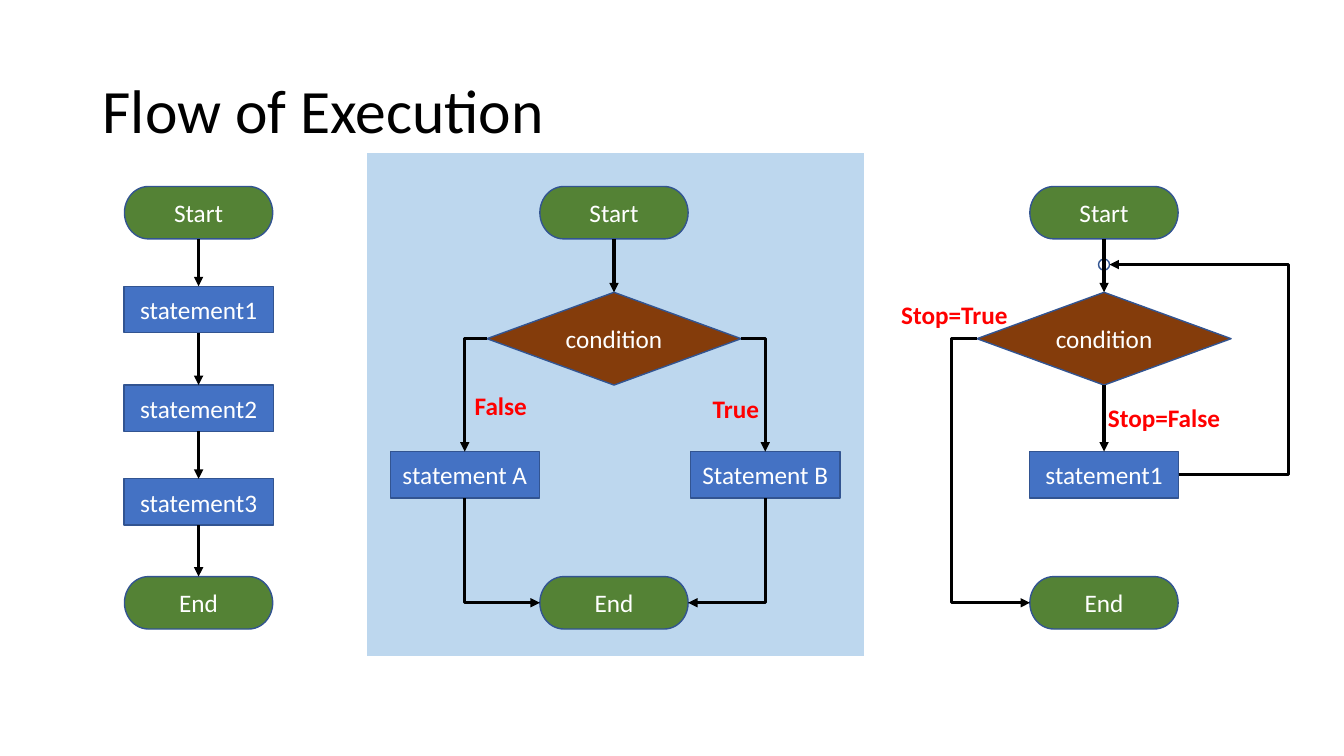
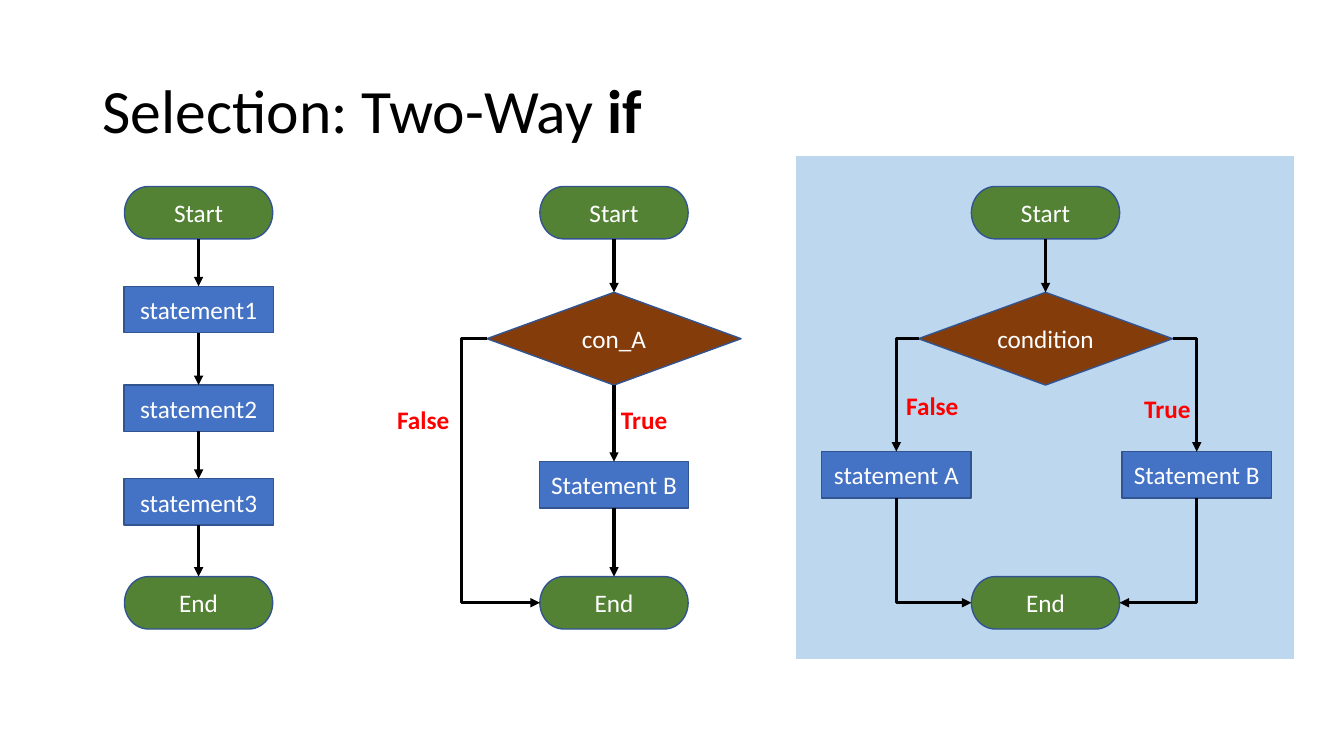
"""Build two slides of flowcharts: sequence, selection and repetition."""
from lxml.etree import SubElement
from pptx import Presentation
from pptx.dml.color import RGBColor
from pptx.enum.shapes import MSO_CONNECTOR as Link, MSO_SHAPE as Shape
from pptx.enum.text import MSO_ANCHOR as Anchor, PP_ALIGN as Align
from pptx.oxml.ns import qn
from pptx.util import Inches, Pt

FONT = "Calibri"
BLACK, WHITE, RED = "000000", "FFFFFF", "FF0000"
OUTLINE, PANEL = "325491", "BDD7EE"
TERMINATOR = (Shape.FLOWCHART_TERMINATOR, 1.47, 0.52, "548235")
PROCESS = (Shape.FLOWCHART_PROCESS, 1.48, 0.46, "4472C4")
DECISION = (Shape.FLOWCHART_DECISION, 2.52, 0.92, "843C0B")
TOP_SIDE, LEFT_SIDE, BOTTOM_SIDE, RIGHT_SIDE = range(4)
ELLIPSE_RIGHT_SITE = "6"
FLOW_TOP = 1.85
DECISION_DROP, STATEMENT_DROP, END_DROP = 1.05, 2.63, 3.87


def color(value):
    """Turn a hex string into a colour."""
    return RGBColor.from_string(value)


def style(span, size, ink, bold=False):
    """Set the font of one run."""
    span.font.name, span.font.size, span.font.bold = FONT, Pt(size), bold
    span.font.color.rgb = color(ink)


def add_title(page, plain, strong=""):
    """Write the slide title, with an optional bold ending."""
    box = page.shapes.add_textbox(Inches(0.92), Inches(0.4), Inches(11.5), Inches(1.45))
    frame = box.text_frame
    frame.word_wrap = True
    frame.vertical_anchor = Anchor.MIDDLE
    para = frame.paragraphs[0]
    para.line_spacing = 0.9
    for text, bold in ((plain, False), (strong, True)):
        if text:
            span = para.add_run()
            span.text = text
            style(span, 44, BLACK, bold)


def add_panel(page, left, top):
    """Draw the pale panel that highlights one flowchart."""
    panel = page.shapes.add_shape(Shape.FLOWCHART_PROCESS, Inches(left), Inches(top),
                                  Inches(4.93), Inches(4.99))
    panel.shadow.inherit = False
    panel.fill.solid()
    panel.fill.fore_color.rgb = color(PANEL)
    panel.line.fill.background()


def outline(shape):
    """Give a shape the common thin outline without shadow."""
    shape.shadow.inherit = False
    shape.line.color.rgb = color(OUTLINE)
    shape.line.width = Pt(1)


def add_node(page, kind, text, centre, top):
    """Draw a flowchart node centred on a vertical axis."""
    preset, width, height, fill = kind
    node = page.shapes.add_shape(preset, Inches(centre - width / 2), Inches(top),
                                 Inches(width), Inches(height))
    outline(node)
    node.fill.solid()
    node.fill.fore_color.rgb = color(fill)
    node.text_frame.text = text
    node.text_frame.vertical_anchor = Anchor.MIDDLE
    para = node.text_frame.paragraphs[0]
    para.alignment = Align.CENTER
    style(para.runs[0], 18, WHITE)
    return node


def add_label(page, text, left, top, width):
    """Write a red branch label."""
    box = page.shapes.add_textbox(Inches(left), Inches(top), Inches(width), Inches(0.4))
    box.text_frame.word_wrap = True
    box.text_frame.text = text
    style(box.text_frame.paragraphs[0].runs[0], 18, RED, True)


def add_link(page, kind, start, start_side, end, end_side, arrow="a:tailEnd"):
    """Connect two shapes with an arrow."""
    link = page.shapes.add_connector(kind, start.left, start.top, end.left, end.top)
    link.begin_connect(start, start_side)
    link.end_connect(end, end_side)
    link.line.color.rgb = color(BLACK)
    link.line.width = Pt(2.25)
    properties = link._element.spPr
    SubElement(properties.find(qn("a:ln")), qn(arrow), type="triangle")
    SubElement(properties, qn("a:effectLst"))
    return link


def link_down(page, *nodes):
    """Connect nodes from top to bottom with straight arrows."""
    for upper, lower in zip(nodes, nodes[1:]):
        add_link(page, Link.STRAIGHT, upper, BOTTOM_SIDE, lower, TOP_SIDE)


def link_corner(page, *ends, arrow="a:tailEnd"):
    """Connect two shapes with one corner, sideways first."""
    link = add_link(page, Link.ELBOW, *ends, arrow=arrow)
    link._element.spPr.find(qn("a:prstGeom")).set("prst", "bentConnector2")


def link_around(page, bend, *ends):
    """Connect two shapes by a detour through a vertical line at bend."""
    link = add_link(page, Link.ELBOW, *ends)
    share = (Inches(bend) - link.begin_x) / (link.end_x - link.begin_x)
    geometry = link._element.spPr.find(qn("a:prstGeom"))
    guides = geometry.find(qn("a:avLst"))
    if guides is None:
        guides = SubElement(geometry, qn("a:avLst"))
    SubElement(guides, qn("a:gd"), name="adj1", fmla=f"val {round(share * 100000)}")
    return link


def add_ends(page, centre, top):
    """Draw the start and end nodes of a flowchart."""
    return (add_node(page, TERMINATOR, "Start", centre, top),
            add_node(page, TERMINATOR, "End", centre, top + END_DROP))


def add_sequence(page, centre, top):
    """Draw three statements in a row."""
    start, end = add_ends(page, centre, top)
    steps = [add_node(page, PROCESS, f"statement{number}", centre, top + drop)
             for number, drop in enumerate((0.99, 1.97, 2.9), 1)]
    link_down(page, start, *steps, end)


def add_two_way(page, centre, top):
    """Draw a selection with a statement on both branches."""
    start, end = add_ends(page, centre, top)
    condition = add_node(page, DECISION, "condition", centre, top + DECISION_DROP)
    link_down(page, start, condition)
    for text, shift, side in (("statement A", -1.48, LEFT_SIDE),
                              ("Statement B", 1.5, RIGHT_SIDE)):
        branch = add_node(page, PROCESS, text, centre + shift, top + STATEMENT_DROP)
        link_corner(page, condition, side, branch, TOP_SIDE)
        link_corner(page, end, side, branch, BOTTOM_SIDE, arrow="a:headEnd")
    add_label(page, "False", centre - 1.48, top + 1.97, 0.77)
    add_label(page, "True", centre + 0.88, top + 2, 0.69)


def add_one_way(page, centre, top):
    """Draw a selection with a statement on the true branch only."""
    start, end = add_ends(page, centre, top)
    condition = add_node(page, DECISION, "con_A", centre, top + DECISION_DROP)
    statement = add_node(page, PROCESS, "Statement B", centre, top + 2.73)
    link_down(page, start, condition, statement, end)
    link_around(page, centre - 1.51, condition, LEFT_SIDE, end, LEFT_SIDE)
    add_label(page, "True", centre - 0.03, top + 2.11, 0.69)
    add_label(page, "False", centre - 2.25, top + 2.11, 0.77)


def add_loop(page, centre, top):
    """Draw a repetition that returns to its condition."""
    size = 0.11
    joint = page.shapes.add_shape(Shape.OVAL, Inches(centre - size / 2), Inches(top + 0.72),
                                  Inches(size), Inches(size))
    outline(joint)
    joint.fill.background()
    start, end = add_ends(page, centre, top)
    condition = add_node(page, DECISION, "condition", centre, top + DECISION_DROP)
    statement = add_node(page, PROCESS, "statement1", centre, top + STATEMENT_DROP)
    link_down(page, start, condition, statement)
    link_around(page, centre - 1.51, condition, LEFT_SIDE, end, LEFT_SIDE)
    back = link_around(page, centre + 1.83, statement, RIGHT_SIDE, joint, RIGHT_SIDE)
    back._element.find(".//" + qn("a:endCxn")).set("idx", ELLIPSE_RIGHT_SITE)
    add_label(page, "Stop=False", centre - 0.06, top + 2.09, 1.43)
    add_label(page, "Stop=True", centre - 2.11, top + 1.07, 1.43)


def build_flow(page):
    """Build the overview of the three kinds of flow."""
    add_panel(page, 3.64, 1.52)
    add_title(page, "Flow of Execution")
    add_sequence(page, 1.97, FLOW_TOP)
    add_two_way(page, 6.09, FLOW_TOP)
    add_loop(page, 10.95, FLOW_TOP)


def build_selection(page):
    """Build the comparison of one-way and two-way selection."""
    add_panel(page, 7.9, 1.55)
    add_title(page, "Selection: Two-Way ", "if")
    add_sequence(page, 1.97, FLOW_TOP)
    add_one_way(page, 6.09, FLOW_TOP)
    add_two_way(page, 10.37, FLOW_TOP)


def main():
    """Create and save the deck."""
    deck = Presentation()
    deck.slide_width, deck.slide_height = Inches(13.33), Inches(7.5)
    for build in (build_flow, build_selection):
        build(deck.slides.add_slide(deck.slide_layouts[6]))
    deck.save("out.pptx")


if __name__ == "__main__":
    main()
